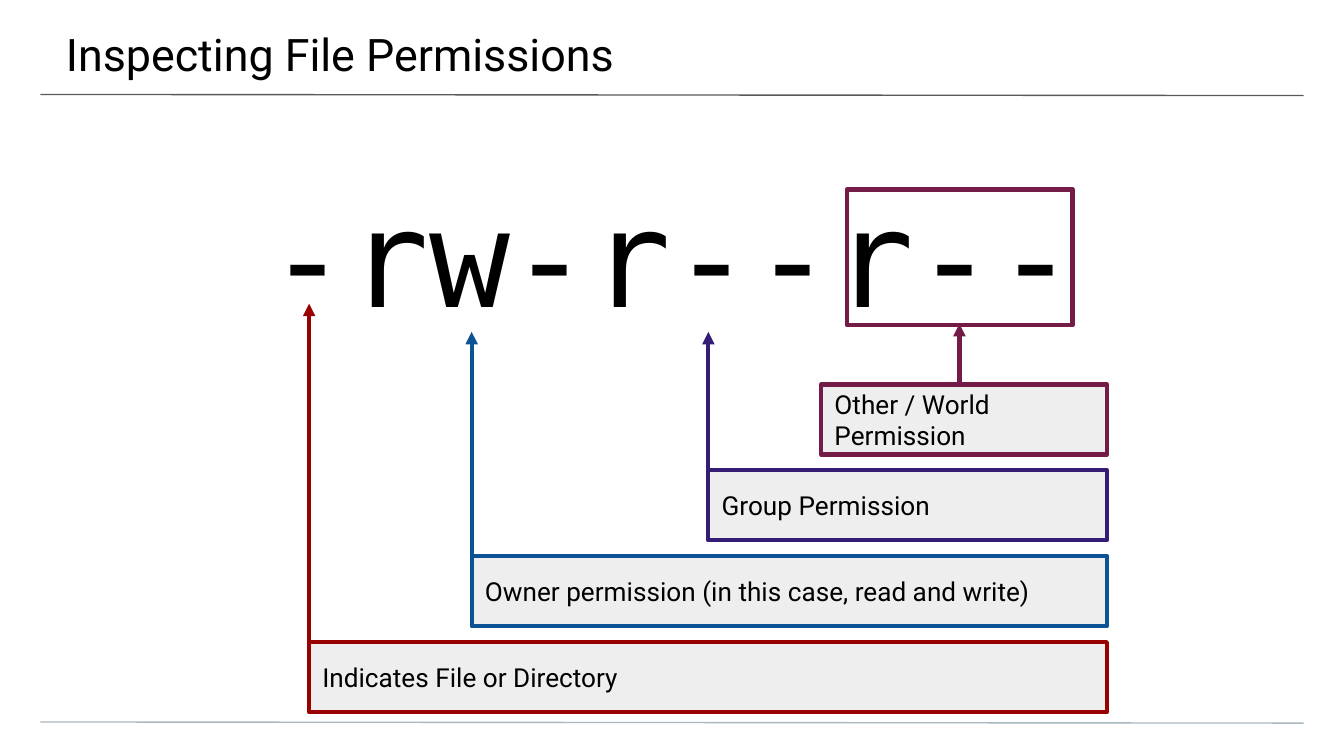
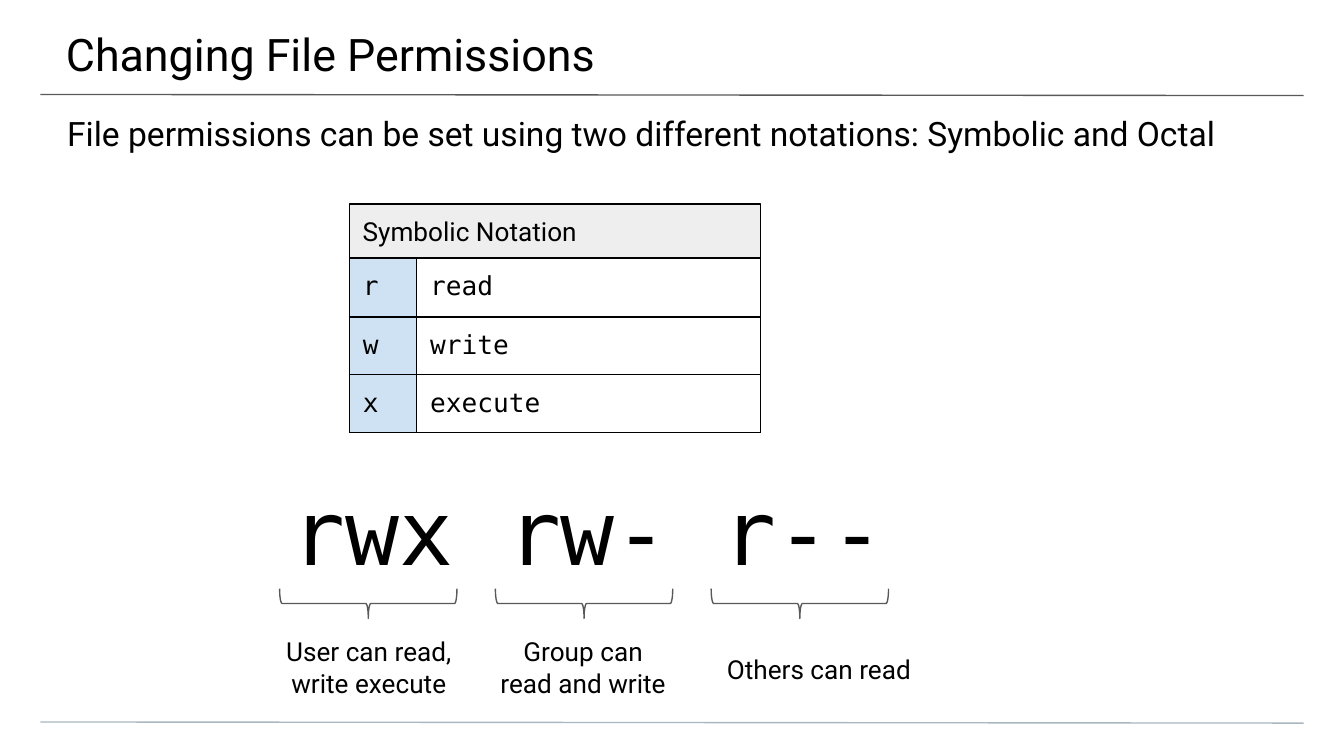
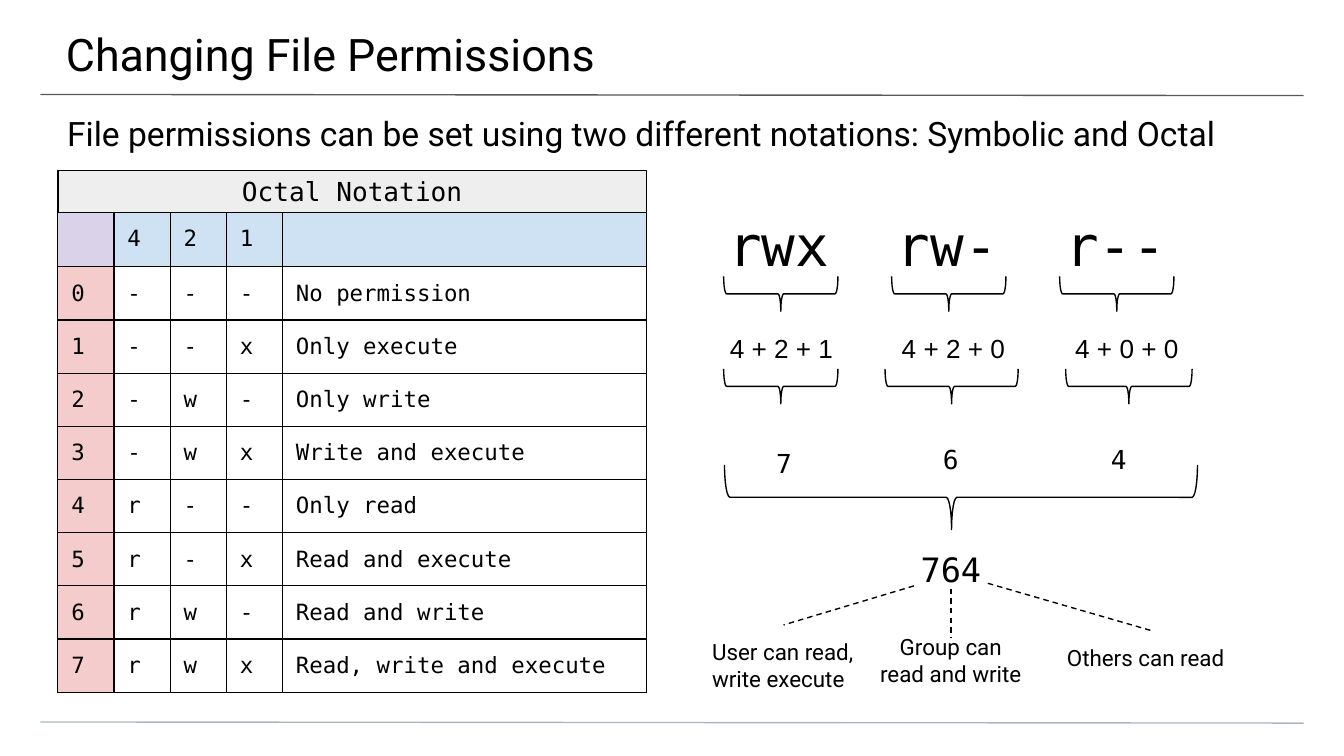
from dataclasses import dataclass
from typing import Any, Callable, Optional, Sequence

from lxml import etree
from pptx import Presentation
from pptx import util as u
from pptx.dml.color import RGBColor
from pptx.enum import dml, shapes, text
from pptx.oxml.ns import qn

Pt = u.Pt
LEFT, CENTER = text.PP_ALIGN.LEFT, text.PP_ALIGN.CENTER
TOP, MIDDLE = text.MSO_ANCHOR.TOP, text.MSO_ANCHOR.MIDDLE


def rgb(value: str) -> RGBColor:
    return RGBColor.from_string(value)


@dataclass(frozen=True)
class Theme:
    ink: RGBColor = rgb("000000")
    rule: RGBColor = rgb("595959")
    footer_rule: RGBColor = rgb("A9B7C0")
    panel: RGBColor = rgb("EEEEEE")
    blue_cell: RGBColor = rgb("CFE2F3")
    red_cell: RGBColor = rgb("F4CCCC")
    violet_cell: RGBColor = rgb("D9D2E9")
    file_type: RGBColor = rgb("990000")
    owner: RGBColor = rgb("0B5394")
    group: RGBColor = rgb("351C75")
    other: RGBColor = rgb("741B47")
    sans: str = "Roboto"
    mono: str = "DejaVu Sans Mono"
    sums: str = "Arial"
    title: float = 24
    lead: float = 18
    body: float = 14
    small: float = 12
    mode_huge: float = 72
    mode_large: float = 48
    mode_medium: float = 30
    thin: float = 0.75
    thick: float = 2.25
    inset: float = 7.2


T = Theme()


@dataclass(frozen=True)
class Box:
    left: float
    top: float
    width: float
    height: float

    def lengths(self) -> list[int]:
        return [Pt(v) for v in (self.left, self.top, self.width, self.height)]


@dataclass(frozen=True)
class Label:
    content: str
    box: Box
    size: float = T.body
    font: str = T.sans
    align: Any = LEFT
    anchor: Any = TOP
    insets: Optional[tuple[float, float, float, float]] = None
    tab: float = 0


@dataclass(frozen=True)
class Brace:
    """A brace that opens upward and points down, given by its centre."""
    x: float
    y: float
    span: float
    depth: float
    color: RGBColor = T.ink
    kind: Any = shapes.MSO_SHAPE.LEFT_BRACE
    turn: float = 270
    point: float = 0.5


@dataclass(frozen=True)
class Callout:
    label: str
    left: float
    arrow_x: float
    tip: float
    color: RGBColor


def assign(target: Any, values: dict[str, Any]) -> None:
    for name, value in values.items():
        setattr(target, name, value)


def write(frame: Any, label: Label) -> None:
    left, top, right, bottom = label.insets or (T.inset,) * 4
    assign(frame, {
        "word_wrap": True, "auto_size": text.MSO_AUTO_SIZE.NONE,
        "vertical_anchor": label.anchor,
        "margin_left": Pt(left), "margin_top": Pt(top),
        "margin_right": Pt(right), "margin_bottom": Pt(bottom),
    })
    write_paragraph(frame.paragraphs[0], label.content, label.size,
                    label.font, label.align, label.tab)


def write_paragraph(paragraph: Any, content: str, size: float, font: str,
                    align: Any = LEFT, tab: float = 0) -> None:
    paragraph.alignment = align
    if tab:
        stops = etree.SubElement(paragraph._p.get_or_add_pPr(), qn("a:tabLst"))
        for number in range(1, content.count("\t") + 1):
            etree.SubElement(stops, qn("a:tab"), pos=str(Pt(tab * number)), algn="l")
    if not content:
        etree.SubElement(paragraph._p, qn("a:endParaRPr"), sz=str(int(size * 100)))
        return
    run = paragraph.add_run()
    run.text = content
    assign(run.font, {"name": font, "size": Pt(size)})
    run.font.color.rgb = T.ink


def add_label(slide: Any, label: Label) -> None:
    write(slide.shapes.add_textbox(*label.box.lengths()).text_frame, label)


def add_outline(slide: Any, kind: Any, box: Box, color: RGBColor, weight: float,
                fill: Optional[RGBColor] = None) -> Any:
    outline = slide.shapes.add_shape(kind, *box.lengths())
    outline.shadow.inherit = False
    if fill is None:
        outline.fill.background()
    else:
        outline.fill.solid()
        outline.fill.fore_color.rgb = fill
    outline.line.color.rgb = color
    outline.line.width = Pt(weight)
    return outline


def add_panel(slide: Any, label: Label, color: RGBColor, weight: float) -> None:
    panel = add_outline(slide, shapes.MSO_SHAPE.RECTANGLE, label.box, color, weight, T.panel)
    write(panel.text_frame, label)


def add_brace(slide: Any, brace: Brace) -> None:
    box = Box(brace.x - brace.depth / 2, brace.y - brace.span / 2, brace.depth, brace.span)
    outline = add_outline(slide, brace.kind, box, brace.color, T.thin)
    outline.rotation = brace.turn
    outline.adjustments[1] = brace.point


def add_line(slide: Any, start: tuple[float, float], end: tuple[float, float],
             color: RGBColor, weight: float = T.thin, dashed: bool = False,
             arrow: bool = False) -> Any:
    line = slide.shapes.add_connector(
        shapes.MSO_CONNECTOR.STRAIGHT, *(Pt(v) for v in (*start, *end)))
    line.line.color.rgb = color
    line.line.width = Pt(weight)
    if dashed:
        line.line.dash_style = dml.MSO_LINE.DASH
    properties = line.element.spPr
    if arrow:
        etree.SubElement(properties.find(qn("a:ln")), qn("a:tailEnd"), type="triangle")
    etree.SubElement(properties, qn("a:effectLst"))
    return line


def add_cell_borders(cell: Any) -> None:
    properties = cell._tc.get_or_add_tcPr()
    for side in ("lnL", "lnR", "lnT", "lnB"):
        border = etree.SubElement(properties, qn(f"a:{side}"), w=str(Pt(T.thin)))
        fill = etree.SubElement(border, qn("a:solidFill"))
        etree.SubElement(fill, qn("a:srgbClr"), val=str(T.ink))


def add_grid(slide: Any, left: float, top: float, widths: Sequence[float],
             heights: Sequence[float], rows: Sequence[Sequence[str]], size: float,
             fill_for: Callable[[int, int], Optional[RGBColor]]) -> None:
    box = Box(left, top, sum(widths), sum(heights))
    table = slide.shapes.add_table(len(heights), len(widths), *box.lengths()).table
    assign(table, {"first_row": False, "horz_banding": False})
    for column, width in zip(table.columns, widths):
        column.width = Pt(width)
    for r, (height, values) in enumerate(zip(heights, rows)):
        table.rows[r].height = Pt(height)
        for c, value in enumerate(values):
            cell = table.cell(r, c)
            assign(cell, {f"margin_{side}": Pt(T.inset)
                          for side in ("left", "top", "right", "bottom")})
            write_paragraph(cell.text_frame.paragraphs[0], value, size, T.mono)
            add_cell_borders(cell)
            color = fill_for(r, c)
            if color is None:
                cell.fill.background()
            else:
                cell.fill.solid()
                cell.fill.fore_color.rgb = color


def start_slide(prs: Any, title: str, lead: str = "") -> Any:
    slide = prs.slides.add_slide(prs.slide_layouts[5])
    heading = Label(title, Box(-0.7, 0, 722, 41.8), T.title, insets=(36, 14.4, 21.6, 7.2))
    names = ("left", "top", "width", "height")
    assign(slide.shapes.title, dict(zip(names, heading.box.lengths())))
    write(slide.shapes.title.text_frame, heading)
    if lead:
        add_label(slide, Label(lead, Box(0, 53.3, 720, 28.8), T.lead,
                               insets=(36, 7.2, 36, 0)))
    return slide


def add_layout_rules(slide: Any) -> None:
    """Put the header and footer rules on the layout that the slides share."""
    for y, color in ((50.6, T.rule), (386.8, T.footer_rule)):
        rule = add_line(slide, (21.6, y), (676.8 + 21.6, y + 0.6), color)
        slide.slide_layout.shapes.element.append(rule.element)


def build_inspecting(prs: Any) -> None:
    slide = start_slide(prs, "Inspecting File Permissions")
    add_layout_rules(slide)
    add_label(slide, Label("-rw-r--r--", Box(127.4, 85.7, 465.1, 88.6),
                           T.mode_huge, T.mono, CENTER))
    add_outline(slide, shapes.MSO_SHAPE.RECTANGLE, Box(453.6, 101.5, 121, 72.7),
                T.other, T.thick)
    callouts = (
        Callout("Other / World Permission", 440, 514, 173.5, T.other),
        Callout("Group Permission", 379.5, 379.5, 177.8, T.group),
        Callout("Owner permission (in this case, read and write)",
                252.7, 252.7, 177.8, T.owner),
        Callout("Indicates File or Directory", 165.6, 165.6, 162.7, T.file_type),
    )
    first_top, step, height, right = 206, 46, 37.5, 593
    for index, callout in enumerate(callouts):
        top = first_top + index * step
        box = Box(callout.left, top, right - callout.left, height)
        add_panel(slide, Label(callout.label, box, anchor=MIDDLE), callout.color, T.thick)
        add_line(slide, (callout.arrow_x, top), (callout.arrow_x, callout.tip),
                 callout.color, T.thick, arrow=True)


LEAD = "File permissions can be set using two different notations: Symbolic and Octal"
USER, GROUP, OTHERS = ("User can read, write execute", "Group can read and write",
                       "Others can read")


def build_symbolic(prs: Any) -> None:
    slide = start_slide(prs, "Changing File Permissions", LEAD)
    left, top, header = 187.2, 109.4, 28.8
    widths = (36, 184.3)
    add_grid(slide, left, top + header, widths, (31.7, 30.2, 30.2),
             (("r", "read"), ("w", "write"), ("x", "execute")), T.body,
             lambda r, c: T.blue_cell if c == 0 else None)
    add_panel(slide, Label("Symbolic Notation", Box(left, top, sum(widths), header),
                           anchor=MIDDLE), T.ink, T.thin)
    add_label(slide, Label("rwx rw- r--", Box(149, 247.7, 343.4, 51),
                           T.mode_large, T.mono))
    for index in range(3):
        add_brace(slide, Brace(197.3 + index * 115.6, 323.3, 95, 16, T.rule))
    for caption in (
        Label(USER, Box(141.8, 333.4, 111.6, 51), align=CENTER),
        Label(GROUP, Box(260.6, 333.4, 103.7, 51), align=CENTER),
        Label(OTHERS, Box(382.3, 342.7, 115.2, 33)),
    ):
        add_label(slide, caption)


def octal_rows() -> list[list[str]]:
    bits = {4: "r", 2: "w", 1: "x"}
    meanings = ("No permission", "Only execute", "Only write", "Write and execute",
                "Only read", "Read and execute", "Read and write",
                "Read, write and execute")
    rows = [["", *map(str, bits), ""]]
    for number, meaning in enumerate(meanings):
        flags = [letter if number & bit else "-" for bit, letter in bits.items()]
        rows.append([str(number), *flags, meaning])
    return rows


def octal_fill(row: int, column: int) -> Optional[RGBColor]:
    if row == 0:
        return T.blue_cell if column else T.violet_cell
    return None if column else T.red_cell


def build_octal(prs: Any) -> None:
    slide = start_slide(prs, "Changing File Permissions", LEAD)
    left, top, header = 31, 91.2, 22.7
    widths = (30.1,) * 4 + (195,)
    add_grid(slide, left, top + header, widths, (20.9,) + (25.2,) * 8,
             octal_rows(), T.small, octal_fill)
    add_panel(slide, Label("Octal Notation", Box(left, top, sum(widths), header),
                           font=T.mono, align=CENTER, anchor=MIDDLE), T.ink, T.thin)

    add_label(slide, Label("rwx\trw-\tr--", Box(383, 105.8, 273.6, 51),
                           T.mode_medium, T.mono, tab=90.3))
    for index in range(3):
        add_brace(slide, Brace(418.3 + index * 90, 157.4, 61.2, 18.7))
    for total, x in (("4 + 2 + 1", 418.7), ("4 + 2 + 0", 510.8), ("4 + 0 + 0", 603.7)):
        add_label(slide, Label(total, Box(x - 39.25, 175, 78.5, 23),
                               font=T.sums, align=CENTER, anchor=MIDDLE))
    for x, span in ((418.3, 61.2), (509.8, 71.3), (604.8, 67.7)):
        add_brace(slide, Brace(x, 207, span, 18.7))
    for digit, x, y in (("7", 420, 232.6), ("6", 509.4, 230.4), ("4", 599.4, 230.4)):
        add_label(slide, Label(digit, Box(x - 30.5, y, 61, 33), font=T.mono, align=CENTER))
    add_brace(slide, Brace(514.8, 266.4, 253.4, 34.6, kind=shapes.MSO_SHAPE.RIGHT_BRACE,
                           turn=90, point=0.52))
    add_label(slide, Label("764", Box(417.6, 286.6, 183.6, 23), T.lead, T.mono, CENTER))
    for start, end in (((489.6, 313.9), (419.8, 334.8)),
                       ((509.4, 315.4), (509.4, 341.3)),
                       ((529.2, 312.5), (616.3, 337.7))):
        add_line(slide, start, end, T.ink, dashed=True)
    for caption in (
        Label(USER, Box(374.4, 334.8, 91.4, 38.2), T.small),
        Label(GROUP, Box(463.7, 331.9, 91.4, 33), T.small, align=CENTER),
        Label(OTHERS, Box(564.5, 337.7, 103.7, 28.8), T.small),
    ):
        add_label(slide, caption)


def main() -> None:
    prs = Presentation()
    assign(prs, {"slide_width": Pt(720), "slide_height": Pt(405)})
    for build in (build_inspecting, build_symbolic, build_octal):
        build(prs)
    prs.save("out.pptx")


if __name__ == "__main__":
    main()
